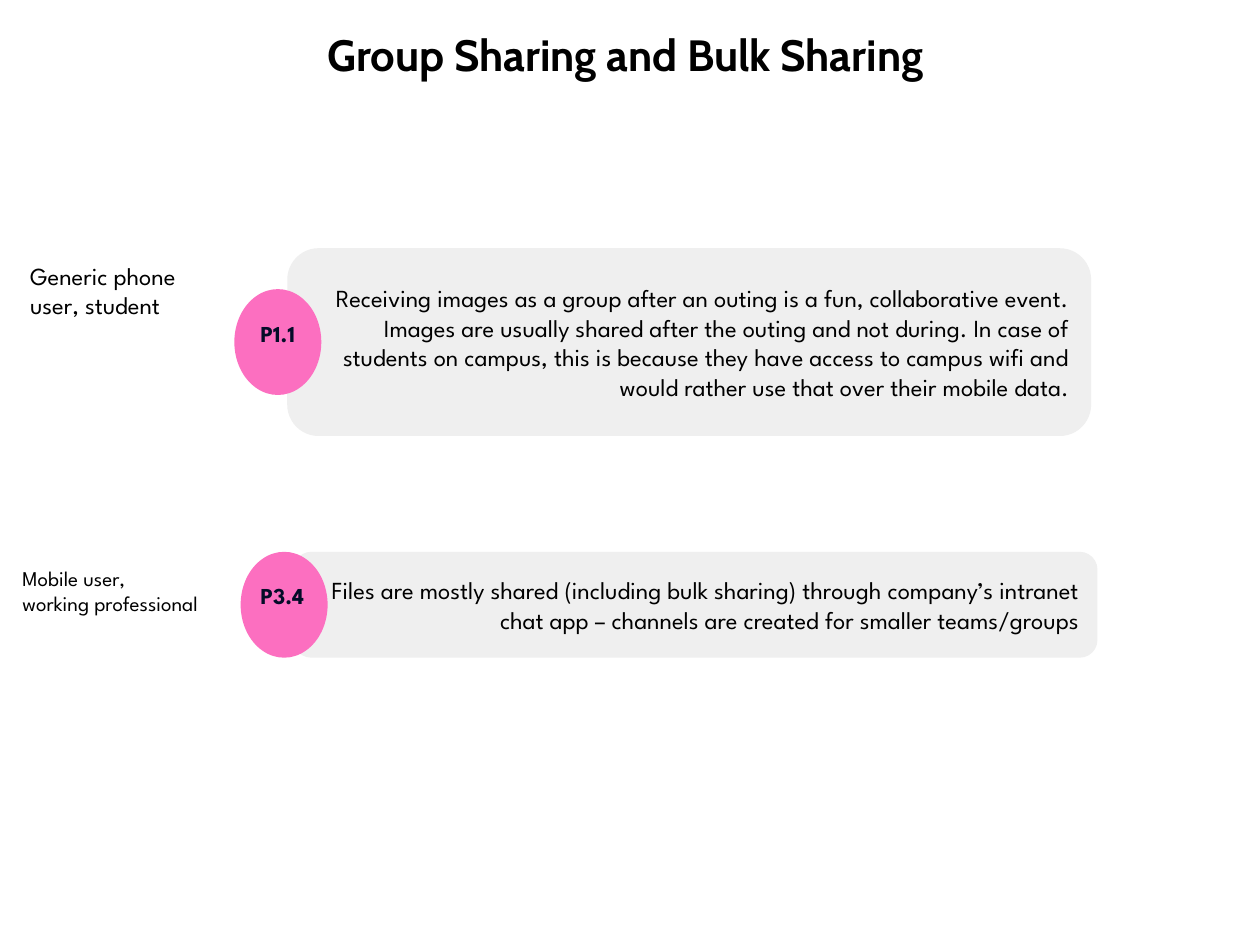
from pptx import Presentation
from pptx.dml.color import RGBColor
from pptx.enum.shapes import MSO_SHAPE
from pptx.enum.text import MSO_ANCHOR, MSO_AUTO_SIZE, PP_ALIGN
from pptx.util import Inches, Pt

WIDE, HIGH = 10, 7.5
COL, ROW = WIDE / 100, HIGH / 75  # grid of 0.1 inch cells
BODY = "League Spartan"
DOT_W, DOT_H = 6.9, 8.4


def tint(code):
    return RGBColor.from_string(code)


def place(box):
    left, top, wide, high = box
    return [Inches(n) for n in (left * COL, top * ROW, wide * COL, high * ROW)]


def write(shape, lines, size, font=BODY, color="000000", bold=False,
          align=PP_ALIGN.LEFT, anchor=MSO_ANCHOR.TOP):
    frame = shape.text_frame
    frame.word_wrap = True
    frame.auto_size = MSO_AUTO_SIZE.NONE
    frame.vertical_anchor = anchor
    frame.margin_left = frame.margin_right = Inches(0.1)
    frame.margin_top = frame.margin_bottom = Inches(0.1)
    for i, line in enumerate(lines):
        para = frame.add_paragraph() if i else frame.paragraphs[0]
        para.alignment = align
        run = para.add_run()
        run.text = line
        run.font.name, run.font.size, run.font.bold = font, Pt(size), bold
        run.font.color.rgb = tint(color)


def solid(group, kind, box, color):
    shape = group.shapes.add_shape(kind, *place(box))
    shape.shadow.inherit = False
    shape.fill.solid()
    shape.fill.fore_color.rgb = tint(color)
    shape.line.fill.background()
    return shape


def note(group, box, lines, size, **style):
    write(group.shapes.add_textbox(*place(box)), lines, size, **style)


def head(slide, box, words):
    title = slide.shapes.title
    title.left, title.top, title.width, title.height = place(box)
    write(title, [words], 25, font="Cabin", bold=True)


def quote(slide, box, words, tag, shift, align, who, who_box, who_size):
    left, top, wide, high = box
    group = slide.shapes.add_group_shape()
    # Finding
    card = solid(group, MSO_SHAPE.FLOWCHART_ALTERNATE_PROCESS, box, "EFEFEF")
    write(card, [words], 14, align=PP_ALIGN.RIGHT, anchor=MSO_ANCHOR.MIDDLE)
    # Round tag, centred on the height of the card
    dot_x, dot_y = left - 4.2, top + (high - DOT_H) / 2
    solid(group, MSO_SHAPE.OVAL, (dot_x, dot_y, DOT_W, DOT_H), "FC6FC0")
    note(group, (dot_x + shift, dot_y + 1.4, DOT_W, 4.2), [tag], 13,
         color="040C28", bold=True, align=align)
    # Participant
    note(group, who_box, who, who_size)


def main():
    deck = Presentation()
    deck.slide_width, deck.slide_height = Inches(WIDE), Inches(HIGH)
    slide = deck.slides.add_slide(deck.slide_layouts[5])
    head(slide, (25, 1.2, 56.4, 8.3), "Group Sharing and Bulk Sharing")
    quote(slide, (23.3, 43.8, 63.8, 8.4),
          "Files are mostly shared (including bulk sharing) through company’s "
          "intranet chat app – channels are created for smaller teams/groups",
          "P3.4", 0.6, PP_ALIGN.LEFT,
          ["Mobile user,", "working professional"], (0.8, 43.9, 17.8, 6.1), 12)
    quote(slide, (22.8, 19.7, 63.8, 14.9),
          "Receiving images as a group after an outing is a fun, collaborative "
          "event. Images are usually shared after the outing and not during. In "
          "case of students on campus, this is because they have access to campus "
          "wifi and would rather use that over their mobile data.",
          "P1.1", 0, PP_ALIGN.CENTER,
          ["Generic phone user, student"], (1.4, 19.7, 15.1, 9.1), 14)
    deck.save("out.pptx")


if __name__ == "__main__":
    main()
